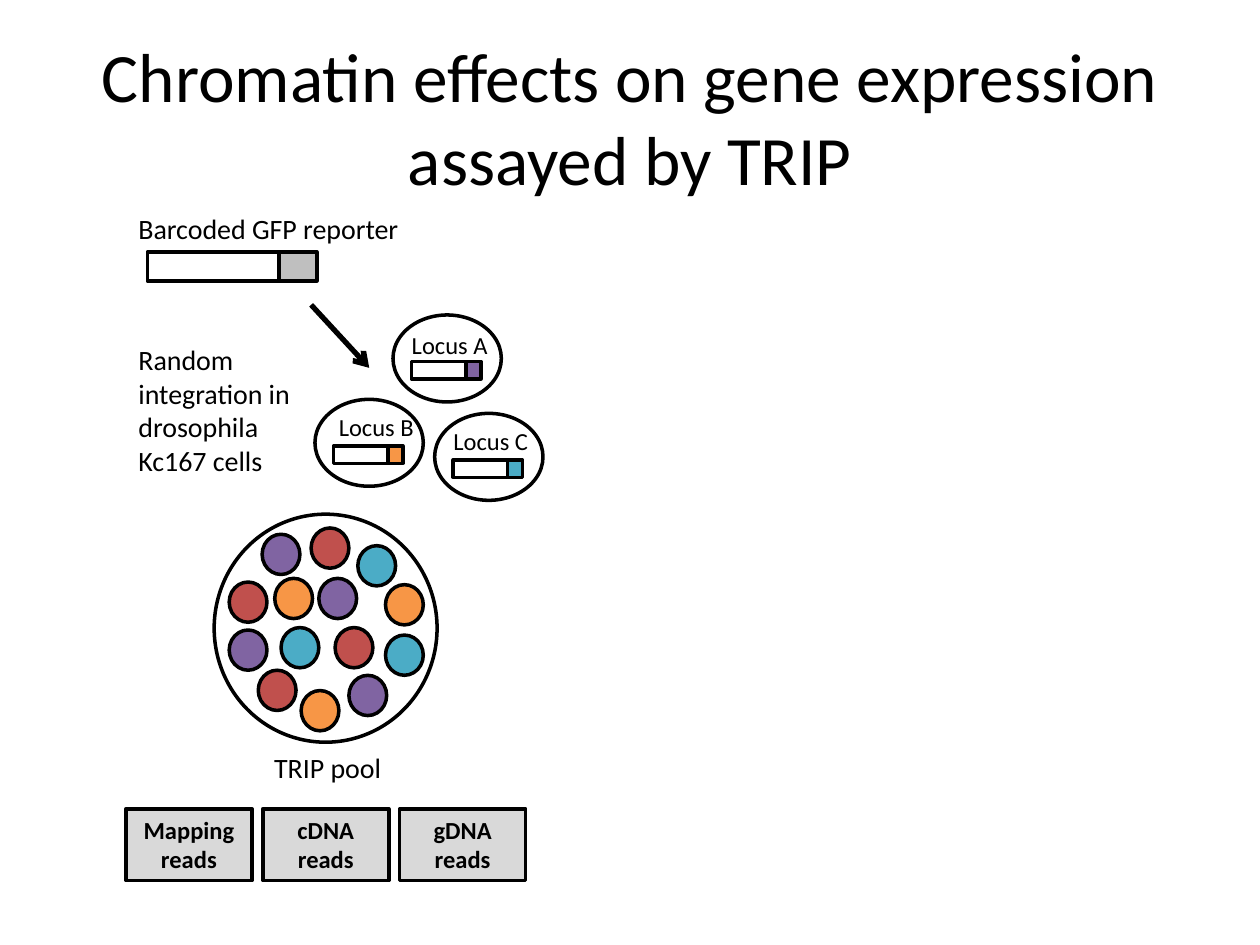
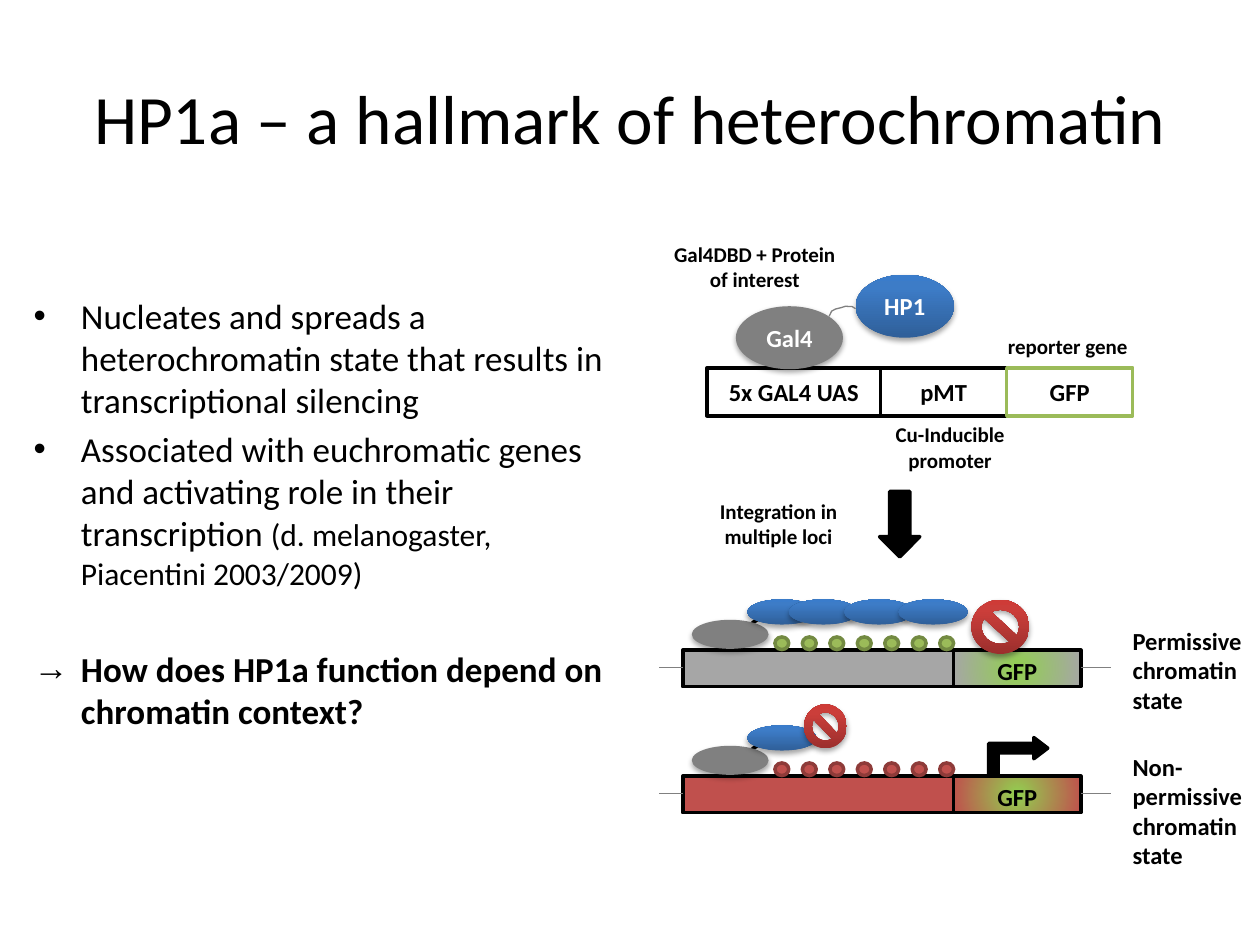
from lxml import etree
from pptx import Presentation
from pptx.dml.color import RGBColor
from pptx.enum import shapes, text
from pptx.oxml import ns
from pptx.util import Pt

KIND = shapes.MSO_SHAPE
CENTER, LEFT = text.PP_ALIGN.CENTER, text.PP_ALIGN.LEFT
TOP, MIDDLE = text.MSO_ANCHOR.TOP, text.MSO_ANCHOR.MIDDLE
FONT = "Calibri"

COLORS = {
    "black": "000000", "white": "FFFFFF", "gray": "808080",
    "silver": "BFBFBF", "pale": "D9D9D9", "closed": "A6A6A6",
    "purple": "8064A2", "red": "C0504D", "orange": "F79646",
    "teal": "4BACC6", "green": "9BBB59", "lime": "92D050",
    "moss": "738A42", "brick": "8E3B39",
}
BLUE = [(0, "2F5F99"), (80, "3D7CC7"), (100, "3A7CCB")]
STOP_RED = [(0, "9C2F2D"), (80, "CB3E3A"), (100, "CE3B37")]

TITLES = [
    "Chromatin effects on gene expression assayed by TRIP",
    "HP1a – a hallmark of heterochromatin",
]

TRIP_LABELS = [
    ("Barcoded GFP reporter", (72, 117.4, 185.8, 26.6), LEFT),
    ("Random integration in drosophila Kc167 cells", (72, 192.2, 114.5, 85), LEFT),
    ("TRIP pool", (147.6, 425.5, 79.2, 26.6), CENTER),
]
LOCI = [
    ("Locus A", "purple", 224.6, 180, 3.6, 5),
    ("Locus B", "orange", 180, 228.2, 6.5, 3.6),
    ("Locus C", "teal", 248.4, 236.2, 3.6, 3.6),
]
POOL = (122.4, 293.8, 127.4, 130.3)
POOL_CELLS = {
    "purple": [(149.8, 305.3), (199.4, 385.9), (131, 360), (182.2, 330.5)],
    "orange": [(172.1, 394.6), (220.3, 334.1), (157, 330.5)],
    "red": [(147.6, 383), (131, 332.6), (177.8, 301.7), (191.5, 358.6)],
    "teal": [(220.3, 362.9), (204.5, 311.8), (160.6, 358.6)],
}
READS = ["Mapping", "cDNA", "gDNA"]

BULLETS = [
    ("•", 4, [("Nucleates and spreads a heterochromatin state that results in "
               "transcriptional silencing", 20, False)]),
    ("•", 4, [("Associated with euchromatic genes and activating role in their "
               "transcription ", 20, False),
              ("(d. melanogaster, Piacentini 2003/2009)", 18, False)]),
    ("→", 32, [("How does HP1a function depend on chromatin context?", 20, True)]),
]
REPORTER = [("5x GAL4 UAS", 99.4, "black"), ("pMT", 72, "black"), ("GFP", 72, "green")]
LINKER = [(473.8, 180.7), (475.2, 177.8), (477.4, 176.6), (481, 175.7),
          (483.1, 175), (487, 175.2), (488.9, 176.4)]
HP1_LABELS = [
    ("Gal4DBD + Protein of interest", (377, 134.6, 108.6, 33.8)),
    ("Cu-Inducible promoter", (504, 237.6, 77.8, 33.8)),
    ("reporter gene", (564.5, 187.2, 91.4, 20.2)),
    ("Integration in multiple loci", (396.7, 281.5, 96.5, 36)),
]
TRACKS = [
    {"state": "Permissive chromatin state", "width": 82, "bar": "closed",
     "mark": ("green", "moss"), "hp1": [427, 450.7, 482.4, 513.4],
     "stop": (555.1, 342.7, 33.1, 31)},
    {"state": "Non-permissive chromatin state", "width": 98, "bar": "red",
     "mark": ("red", "brick"), "hp1": [427],
     "stop": (459.4, 402.5, 24.5, 25.2)},
]


def rgb(name):
    return RGBColor.from_string(COLORS[name])


def style(target, **values):
    for key, value in values.items():
        setattr(target, key, value)


def child(parent, tag, **values):
    return etree.SubElement(parent, ns.qn(tag), {k: str(v) for k, v in values.items()})


def add_span(para, words, size, color="black", bold=False):
    span = para.add_run()
    span.text = words
    style(span.font, name=FONT, size=Pt(size), bold=bold)
    span.font.color.rgb = rgb(color)


def write(frame, lines, size, color="black", bold=False, align=CENTER, anchor=TOP, wrap=True):
    style(frame, word_wrap=wrap, vertical_anchor=anchor, auto_size=text.MSO_AUTO_SIZE.NONE)
    for index, words in enumerate(lines):
        para = frame.add_paragraph() if index else frame.paragraphs[0]
        para.alignment = align
        add_span(para, words, size, color, bold)


def add_label(page, words, box, size, **look):
    label = page.shapes.add_textbox(*map(Pt, box))
    write(label.text_frame, [words], size, **look)


def paint_gradient(shape, stops, radial=False):
    shape.fill.background()
    blank = shape.element.spPr.find(ns.qn("a:noFill"))
    fill = etree.Element(ns.qn("a:gradFill"), rotWithShape="1")
    stop_list = child(fill, "a:gsLst")
    for place, color in stops:
        child(child(stop_list, "a:gs", pos=place * 1000), "a:srgbClr", val=color)
    if radial:
        center = child(fill, "a:path", path="circle")
        child(center, "a:fillToRect", l=50000, t=50000, r=50000, b=50000)
    else:
        child(fill, "a:lin", ang=270 * 60000, scaled=0)
    blank.getparent().replace(blank, fill)


def add_part(page, kind, box, fill=None, line="black", weight=2, radial=False, raised=False):
    part = page.shapes.add_shape(kind, *map(Pt, box))
    part.shadow.inherit = False
    if isinstance(fill, list):
        paint_gradient(part, fill, radial)
    elif fill:
        part.fill.solid()
        part.fill.fore_color.rgb = rgb(fill)
    else:
        part.fill.background()
    if line:
        part.line.color.rgb = rgb(line)
        part.line.width = Pt(weight)
    else:
        part.line.fill.background()
    if raised:
        effects = part.element.spPr.find(ns.qn("a:effectLst"))
        shade = child(effects, "a:outerShdw", blurRad=Pt(3.1), dist=Pt(1.8),
                      dir=90 * 60000, rotWithShape=0)
        child(child(shade, "a:srgbClr", val=COLORS["black"]), "a:alpha", val=35000)
    return part


def add_protein(page, box, fill, kind=KIND.OVAL):
    return add_part(page, kind, box, fill, line=None, raised=True)


def add_line(page, start, end, color, weight, arrow=False):
    line = page.shapes.add_connector(shapes.MSO_CONNECTOR.STRAIGHT, *map(Pt, start + end))
    line.line.color.rgb = rgb(color)
    line.line.width = Pt(weight)
    if arrow:
        child(line.line._get_or_add_ln(), "a:tailEnd", type="arrow")
    child(line.element.spPr, "a:effectLst")


def add_construct(page, x, y, body, tag, height, color):
    add_part(page, KIND.RECTANGLE, (x, y, body, height))
    add_part(page, KIND.RECTANGLE, (x + body, y, tag, height), color)


def add_page(deck, heading):
    page = deck.slides.add_slide(deck.slide_layouts[5])
    title = page.shapes.title
    style(title, left=Pt(36), top=Pt(21.6), width=Pt(648), height=Pt(90))
    write(title.text_frame, [heading], 39.6, anchor=MIDDLE)
    return page


def draw_trip(page):
    add_part(page, KIND.OVAL, POOL)
    for color, places in POOL_CELLS.items():
        for x, y in places:
            add_part(page, KIND.OVAL, (x, y, 21.6, 23), color)
    for name, color, x, y, label_dx, label_dy in LOCI:
        add_part(page, KIND.OVAL, (x, y, 61.9, 49.7))
        add_construct(page, x + 10.6, y + 26.6, 31, 8.6, 10, color)
        add_label(page, name, (x + label_dx, y + label_dy, 60, 24.5), 14, align=LEFT)
    add_construct(page, 84.2, 144, 75.3, 21.6, 16.6, "silver")
    for words, box, align in TRIP_LABELS:
        add_label(page, words, box, 16, align=align)
    add_line(page, (177.8, 174.2), (211, 210.2), "black", 3, arrow=True)
    for index, source in enumerate(READS):
        card = add_part(page, KIND.RECTANGLE, (72 + 78.2 * index, 462.2, 72, 41), "pale")
        write(card.text_frame, [source, "reads"], 14, bold=True)


def draw_bullets(page):
    box = page.shapes.add_textbox(Pt(12.2), Pt(164.9), Pt(347.8), Pt(356.4))
    frame = box.text_frame
    frame.word_wrap = True
    for index, (mark, gap, spans) in enumerate(BULLETS):
        para = frame.add_paragraph() if index else frame.paragraphs[0]
        para.space_before = Pt(gap)
        for words, size, bold in spans:
            add_span(para, words, size, bold=bold)
        settings = para._p.get_or_add_pPr()
        settings.set("marL", str(Pt(27)))
        settings.set("indent", str(Pt(-27)))
        child(settings, "a:buFont", typeface="Arial")
        child(settings, "a:buChar", char=mark)


def draw_reporter(page):
    x = 403.9
    for name, width, line in REPORTER:
        part = add_part(page, KIND.RECTANGLE, (x, 210.2, width, 27.4), "white", line)
        write(part.text_frame, [name], 14, bold=True, anchor=MIDDLE)
        x += width
    for name, box, fill in [("Gal4", (420.5, 175, 61.2, 36), "gray"),
                            ("HP1", (488.9, 157, 56.2, 36), BLUE)]:
        protein = add_protein(page, box, fill)
        write(protein.text_frame, [name], 14, "white", True, anchor=MIDDLE, wrap=False)
    points = [(Pt(left), Pt(top)) for left, top in LINKER]
    builder = page.shapes.build_freeform(*points[0])
    builder.add_line_segments(points[1:], close=False)
    linker = builder.convert_to_shape()
    linker.shadow.inherit = False
    linker.fill.background()
    linker.line.color.rgb = rgb("gray")
    linker.line.width = Pt(0.75)
    arrow = add_part(page, KIND.RIGHT_ARROW, (495.4, 288, 37.4, 23), "black")
    arrow.rotation = 90
    for words, box in HP1_LABELS:
        add_label(page, words, box, 12, bold=True)


def draw_track(page, track, drop):
    glow = [(0, COLORS["lime"]), (100, COLORS[track["bar"]])]
    gene = add_part(page, KIND.RECTANGLE, (545, 371.5 + drop, 72.7, 20.9), glow, radial=True)
    write(gene.text_frame, ["GFP"], 14, bold=True)
    add_part(page, KIND.RECTANGLE, (390.2, 371.5 + drop, 154.8, 20.9), track["bar"])
    for start, end in [(376.6, 390.2), (617.8, 635)]:
        add_line(page, (start, 381.6 + drop), (end, 381.6 + drop), "gray", 0.75)
    tether = add_part(page, KIND.ARC, (415.4, 358.6 + drop, 27.4, 7.9), weight=2.25)
    tether.rotation = 312.1
    add_protein(page, (395.3, 354.2 + drop, 43.9, 16.6), "gray")
    for x in track["hp1"]:
        add_protein(page, (x, 342.5 + drop, 39.6, 14.4), BLUE)
    for index in range(7):
        add_part(page, KIND.OVAL, (442.8 + 15.7 * index, 364 + drop, 7.9, 7.2), *track["mark"])
    add_protein(page, track["stop"], STOP_RED, KIND.NO_SYMBOL)
    add_label(page, track["state"], (640.1, 354.2 + drop, track["width"], 54),
              14, bold=True, align=LEFT)


def draw_transcription(page):
    arrow = add_part(page, KIND.BENT_UP_ARROW, (571, 415.4, 21.6, 33.8), "black")
    arrow.rotation = 270
    arrow.element.spPr.xfrm.set("flipV", "1")
    for index, value in enumerate([0.25, 0.28, 0.37]):
        arrow.adjustments[index] = value


def main():
    deck = Presentation()
    style(deck, slide_width=Pt(720), slide_height=Pt(540))
    trip, hp1 = [add_page(deck, heading) for heading in TITLES]
    draw_trip(trip)
    draw_bullets(hp1)
    draw_transcription(hp1)
    for index, track in enumerate(TRACKS):
        draw_track(hp1, track, 72 * index)
    draw_reporter(hp1)
    deck.save("out.pptx")


if __name__ == "__main__":
    main()
